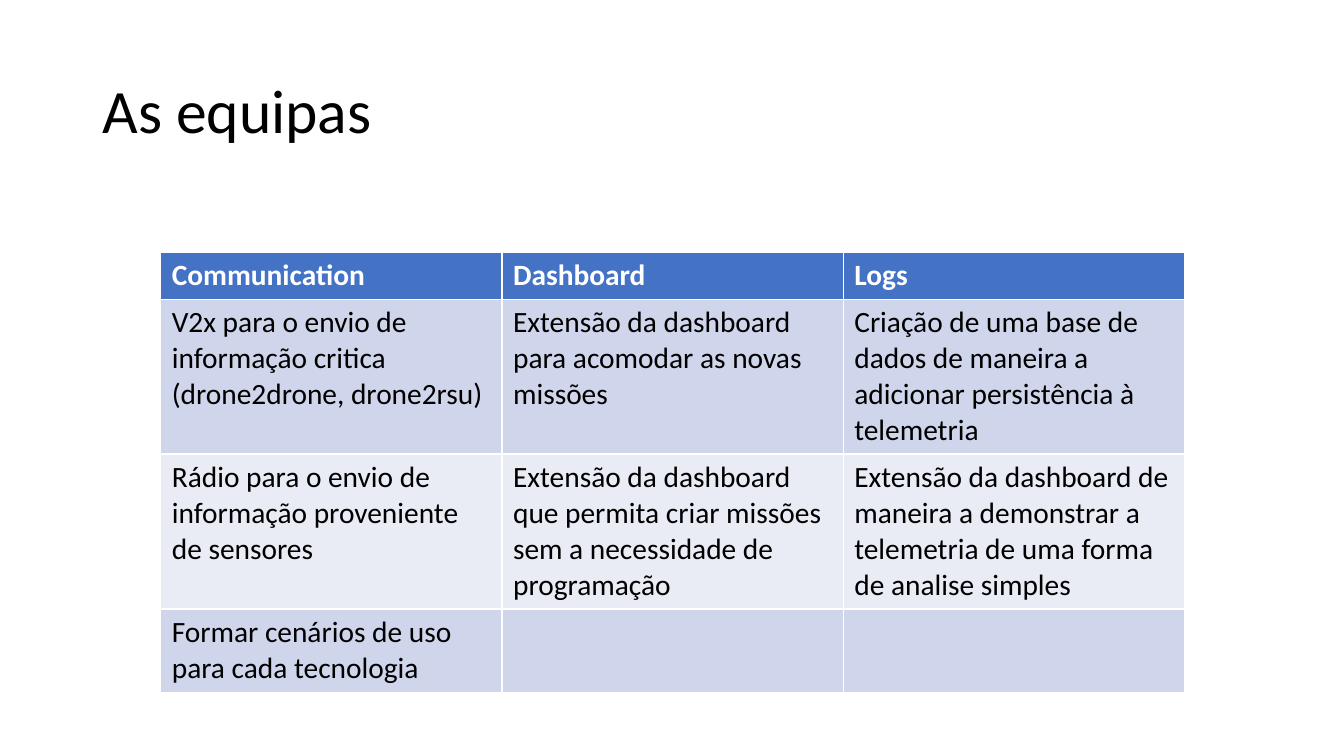
from pptx import Presentation
from pptx import util as u
from pptx.dml.color import RGBColor
from pptx.enum import text

TITLE = "As equipas"
TEAMS = [
    ["Communication", "Dashboard", "Logs"],
    [
        "V2x para o envio de informação critica\n(drone2drone, drone2rsu)",
        "Extensão da dashboard para acomodar as novas missões",
        "Criação de uma base de dados de maneira a adicionar persistência à telemetria",
    ],
    [
        "Rádio para o envio de informação proveniente de sensores",
        "Extensão da dashboard que permita criar missões sem a necessidade de programação",
        "Extensão da dashboard de maneira a demonstrar a telemetria de uma forma de analise simples",
    ],
    ["Formar cenários de uso para cada tecnologia", "", ""],
]
COLORS = {
    "text": "000000",
    "header_text": "FFFFFF",
    "header": "4472C4",
    "odd_row": "CFD5EA",
    "even_row": "E9EBF5",
}
FONT = "Calibri"
COLUMN_WIDTH = u.Cm(8.6)
ROW_HEIGHTS = [u.Cm(height) for height in (0.97, 3.78, 3.78, 2.03)]
MARGIN_X, MARGIN_Y = u.Cm(0.28), u.Cm(0.14)


def add_span(para, words, size, color, bold=False):
    span = para.add_run()
    span.text = words
    span.font.name = FONT
    span.font.size = u.Pt(size)
    span.font.bold = bold
    span.font.color.rgb = RGBColor.from_string(COLORS[color])


def add_title(page):
    box = page.shapes.title
    box.left, box.top = u.Cm(2.33), u.Cm(1.01)
    box.width, box.height = u.Cm(29.21), u.Cm(3.68)
    box.text_frame.vertical_anchor = text.MSO_ANCHOR.MIDDLE
    para = box.text_frame.paragraphs[0]
    para.alignment = text.PP_ALIGN.LEFT
    para.line_spacing = 0.9
    add_span(para, TITLE, 44, "text")


def fill_cell(cell, words, row):
    header = row == 0
    fill = "header" if header else "odd_row" if row % 2 else "even_row"
    cell.fill.solid()
    cell.fill.fore_color.rgb = RGBColor.from_string(COLORS[fill])
    cell.margin_left = cell.margin_right = MARGIN_X
    cell.margin_top = cell.margin_bottom = MARGIN_Y
    if not words:
        return
    frame = cell.text_frame
    for number, line in enumerate(words.split("\n")):
        para = frame.add_paragraph() if number else frame.paragraphs[0]
        add_span(para, line, 21, "header_text" if header else "text", header)


def add_teams(page):
    columns = len(TEAMS[0])
    table = page.shapes.add_table(
        len(TEAMS), columns, u.Cm(4.05), u.Cm(6.35),
        COLUMN_WIDTH * columns, sum(ROW_HEIGHTS),
    ).table
    for column in table.columns:
        column.width = COLUMN_WIDTH
    for row, (height, entries) in enumerate(zip(ROW_HEIGHTS, TEAMS)):
        table.rows[row].height = height
        for column, words in enumerate(entries):
            fill_cell(table.cell(row, column), words, row)


def main():
    deck = Presentation()
    deck.slide_width, deck.slide_height = u.Cm(33.87), u.Cm(19.05)
    page = deck.slides.add_slide(deck.slide_layouts.get_by_name("Title Only"))
    add_title(page)
    add_teams(page)
    deck.save("out.pptx")


if __name__ == "__main__":
    main()
